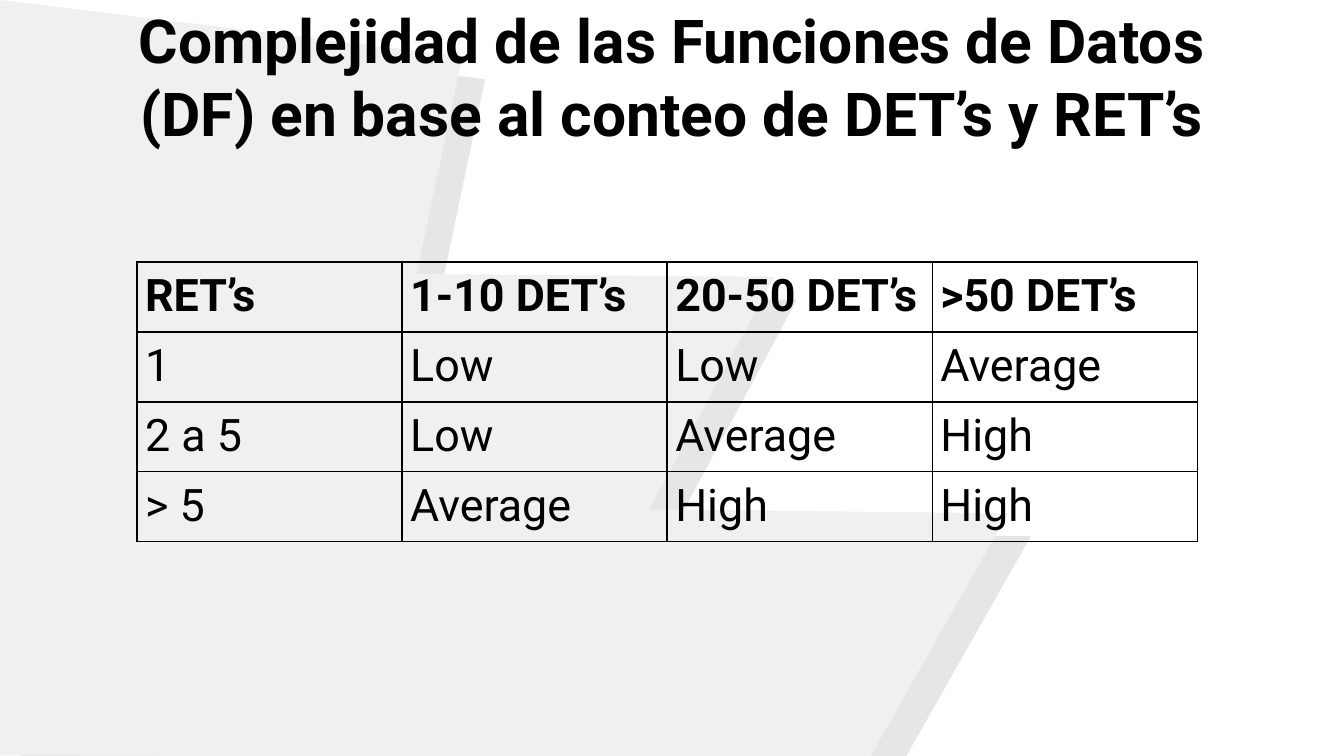
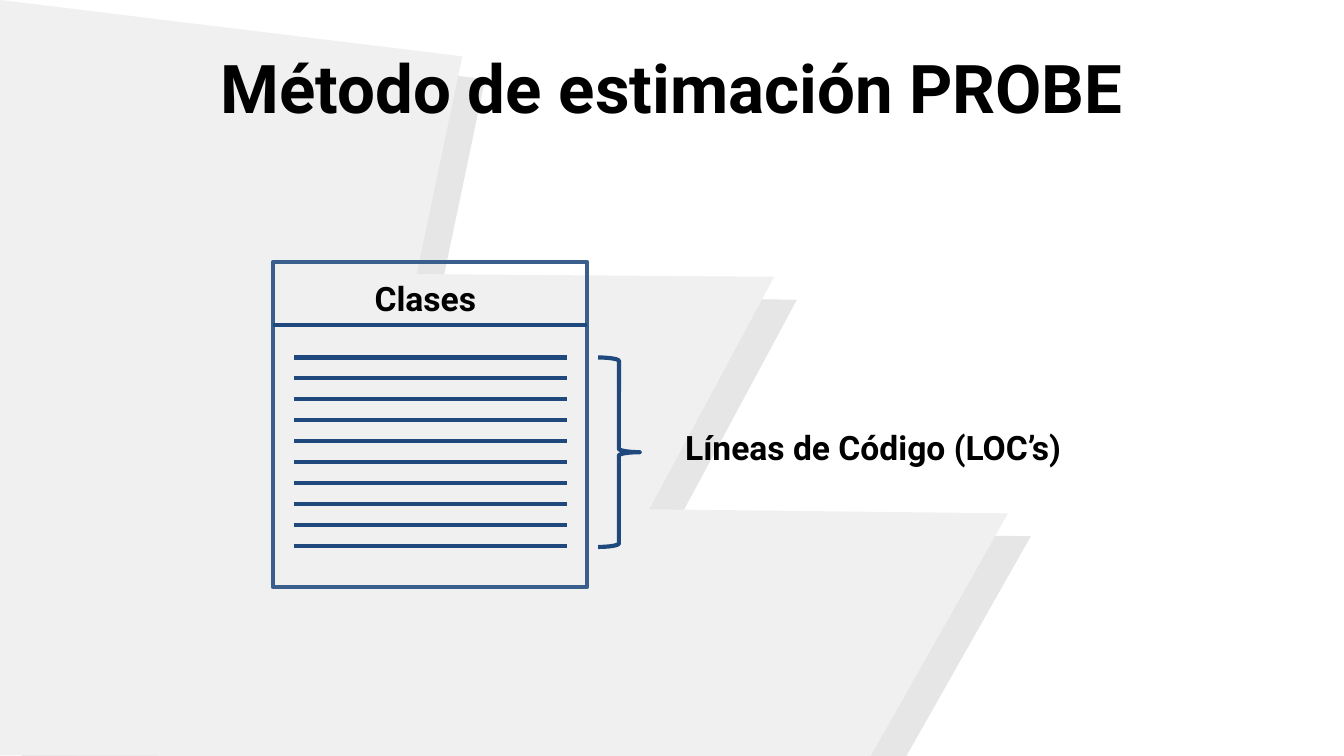
"""Build two slides on data function complexity and the PROBE estimation method."""
from dataclasses import dataclass

from lxml import etree
from pptx import Presentation
from pptx import util as u
from pptx.dml.color import RGBColor
from pptx.enum import shapes, text
from pptx.oxml import ns


@dataclass(frozen=True)
class Theme:
    font: str = "Roboto"
    ink: str = "000000"
    band: str = "F0F0F0"
    band_shade: str = "E6E6E6"
    frame: str = "3A5F8C"
    line: str = "1F497D"
    cell_size: float = 24
    label_size: float = 18
    frame_width: float = 2
    line_width: float = 2.25
    border_width: float = 1


THEME = Theme()
SLIDE_WIDTH = 10
SLIDE_HEIGHT = SLIDE_WIDTH * 9 / 16

BAND_OUTLINE = [(0, 0), (344, 42), (310, 204), (576, 206), (483, 379),
                (750, 382), (647, 564), (-1, 562)]
BAND_LAYERS = [(17, THEME.band_shade), (0, THEME.band)]

COMPLEXITY = {
    "title": "Complejidad de las Funciones de Datos (DF) en base al conteo de DET’s y RET’s",
    "top": 0.04,
    "size": 32.4,
    "rows": [
        ("RET’s", "1-10 DET’s", "20-50 DET’s", ">50 DET’s"),
        ("1", "Low", "Low", "Average"),
        ("2 a 5", "Low", "Average", "High"),
        ("> 5", "Average", "High", "High"),
    ],
}
PROBE = {
    "title": "Método de estimación PROBE",
    "top": 0.12,
    "size": 36,
    "class_label": "Clases",
    "code_label": "Líneas de Código (LOC’s)",
    "code_lines": 10,
}


def inches(*lengths):
    return [u.Inches(length) for length in lengths]


def color(value):
    return RGBColor.from_string(value)


def write(frame, content, size, bold=True, align=None):
    frame.text = content
    paragraph = frame.paragraphs[0]
    paragraph.alignment = align
    for run in paragraph.runs:
        run.font.name = THEME.font
        run.font.size = u.Pt(size)
        run.font.bold = bold
        run.font.color.rgb = color(THEME.ink)


def add_layout_bands(slide):
    tree = slide.slide_layout.shapes.element
    for depth, (offset, fill) in enumerate(BAND_LAYERS, start=2):
        start, *others = [(x + offset, y + offset) for x, y in BAND_OUTLINE]
        builder = slide.shapes.build_freeform(*start, scale=u.Inches(0.01))
        builder.add_line_segments(others, close=True)
        band = builder.convert_to_shape()
        band.shadow.inherit = False
        band.fill.solid()
        band.fill.fore_color.rgb = color(fill)
        band.line.fill.background()
        tree.insert(depth, band.element)


def add_slide(presentation, content):
    slide = presentation.slides.add_slide(presentation.slide_layouts[5])
    title = slide.shapes.title
    title.left, title.top, title.width, title.height = inches(0.47, content["top"], 9.06, 1.05)
    frame = title.text_frame
    frame.auto_size = text.MSO_AUTO_SIZE.NONE
    frame.vertical_anchor = text.MSO_ANCHOR.MIDDLE
    write(frame, content["title"], content["size"], align=text.PP_ALIGN.CENTER)
    return slide


def add_borders(cell):
    properties = cell._tc.get_or_add_tcPr()
    for side in "LRTB":
        border = etree.SubElement(properties, ns.qn(f"a:ln{side}"), w=str(u.Pt(THEME.border_width)))
        fill = etree.SubElement(border, ns.qn("a:solidFill"))
        etree.SubElement(fill, ns.qn("a:srgbClr"), val=THEME.ink)


def add_complexity_table(slide, rows):
    row_count, column_count = len(rows), len(rows[0])
    table = slide.shapes.add_table(
        row_count, column_count, *inches(1.02, 1.95, 7.89, 0.52 * row_count)).table
    table.first_row = table.horz_banding = False
    for row_index, row in enumerate(rows):
        for column_index, content in enumerate(row):
            cell = table.cell(row_index, column_index)
            cell.margin_left = cell.margin_right = u.Inches(0.06)
            cell.margin_top = cell.margin_bottom = u.Inches(0.06)
            write(cell.text_frame, content, THEME.cell_size, bold=row_index == 0)
            add_borders(cell)
            cell.fill.background()


def add_outline(slide, kind, box, line_color, width):
    shape = slide.shapes.add_shape(kind, *inches(*box))
    shape.shadow.inherit = False
    shape.fill.background()
    shape.line.color.rgb = color(line_color)
    shape.line.width = u.Pt(width)


def add_rule(slide, left, right, y):
    rule = slide.shapes.add_connector(shapes.MSO_CONNECTOR.STRAIGHT, *inches(left, y, right, y))
    rule.line.color.rgb = color(THEME.line)
    rule.line.width = u.Pt(THEME.line_width)
    etree.SubElement(rule.element.spPr, ns.qn("a:effectLst"))


def add_label(slide, content, box, wrap, align):
    frame = slide.shapes.add_textbox(*inches(*box)).text_frame
    frame.word_wrap = wrap
    frame.auto_size = text.MSO_AUTO_SIZE.SHAPE_TO_FIT_TEXT
    write(frame, content, THEME.label_size, align=align)


def add_class_diagram(slide, content):
    left, top, width, height = 2.03, 1.95, 2.34, 2.42
    first_line, code_height = 2.66, 1.4
    gap = code_height / (content["code_lines"] - 1)
    add_outline(slide, shapes.MSO_SHAPE.RECTANGLE, (left, top, width, height),
                THEME.frame, THEME.frame_width)
    add_rule(slide, left, left + width, 2.42)
    add_label(slide, content["class_label"], (2.19, 2.02, 1.95, 0.4), True, text.PP_ALIGN.CENTER)
    for index in range(content["code_lines"]):
        add_rule(slide, 2.19, 4.22, first_line + index * gap)
    add_outline(slide, shapes.MSO_SHAPE.RIGHT_BRACE, (4.45, first_line, 0.31, 1.41),
                THEME.line, THEME.line_width)
    add_label(slide, content["code_label"], (5, 3.13, 3.06, 0.4), False, text.PP_ALIGN.LEFT)


def main():
    presentation = Presentation()
    presentation.slide_width, presentation.slide_height = inches(SLIDE_WIDTH, SLIDE_HEIGHT)
    complexity_slide = add_slide(presentation, COMPLEXITY)
    add_layout_bands(complexity_slide)
    add_complexity_table(complexity_slide, COMPLEXITY["rows"])
    add_class_diagram(add_slide(presentation, PROBE), PROBE)
    presentation.save("out.pptx")


if __name__ == "__main__":
    main()
